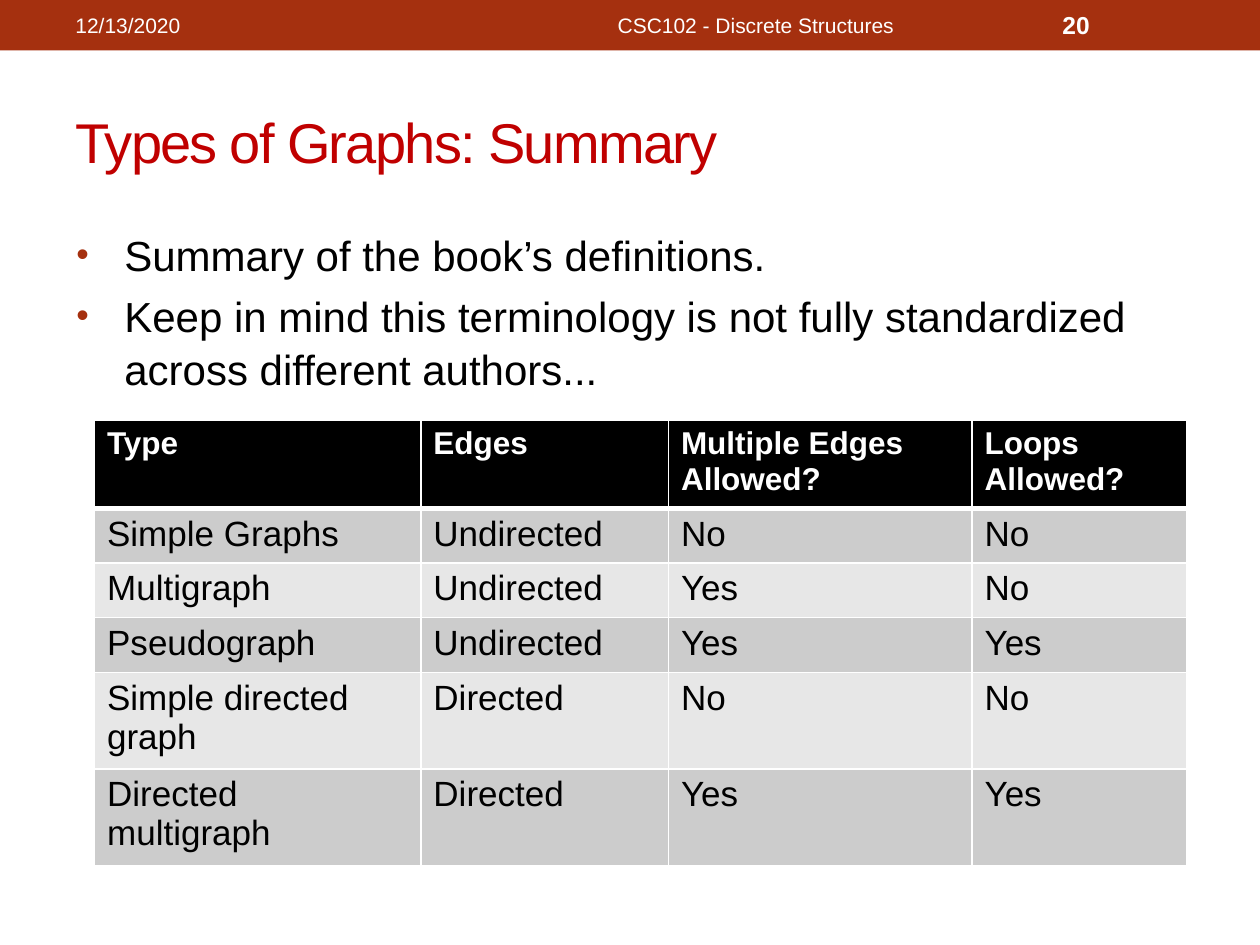
"""Build the slide summarising the types of graphs."""
import pptx
import pptx.dml.color
import pptx.enum.shapes
import pptx.enum.text
import pptx.oxml
import pptx.oxml.ns
import pptx.util

Pt = pptx.util.Pt
Align = pptx.enum.text.PP_ALIGN
Anchor = pptx.enum.text.MSO_ANCHOR

THEME = {
    "font": "Arial",
    "band": "A5300F", "title": "C00000", "text": "000000", "light": "FFFFFF",
    "header": "000000", "rows": ("CCCCCC", "E7E7E7"), "border": "FFFFFF",
    "title_size": 32, "body_size": 24, "footer_size": 12, "number_size": 14,
    "header_size": 18, "cell_size": 20,
}
SLIDE_SIZE = (720, 540)
BAND_HEIGHT = 28.8
TITLE = "Types of Graphs: Summary"
TITLE_BOX = (36, 41.76, 648, 77.76)
BULLETS = [
    "Summary of the book’s definitions.",
    "Keep in mind this terminology is not fully standardized across different authors...",
]
BULLETS_BOX = (36, 126, 648, 383.76)
BAND_TEXTS = [
    ("12/13/2020", 36, 228, Align.LEFT, "footer_size", False),
    ("CSC102 - Discrete Structures", 270, 324, Align.CENTER, "footer_size", False),
    ("20", 600, 84, Align.LEFT, "number_size", True),
]
GRAPH_TYPES = [
    ("Type", "Edges", "Multiple Edges Allowed?", "Loops Allowed?"),
    ("Simple Graphs", "Undirected", "No", "No"),
    ("Multigraph", "Undirected", "Yes", "No"),
    ("Pseudograph", "Undirected", "Yes", "Yes"),
    ("Simple directed graph", "Directed", "No", "No"),
    ("Directed multigraph", "Directed", "Yes", "Yes"),
]
TABLE_ORIGIN = (54, 240)
COLUMN_WIDTHS = (186.5, 141.5, 173.5, 122.5)
ROW_HEIGHT = 29.2


def rgb(value):
    return pptx.dml.color.RGBColor.from_string(value)


def paint(shape, color):
    shape.fill.solid()
    shape.fill.fore_color.rgb = rgb(color)


def style(paragraph, size, color, bold=False):
    for run in paragraph.runs:
        run.font.name = THEME["font"]
        run.font.size = Pt(THEME[size])
        run.font.bold = bold
        run.font.color.rgb = rgb(THEME[color])


def add_text(slide, box, text, anchor):
    frame = slide.shapes.add_textbox(*map(Pt, box)).text_frame
    frame.word_wrap = True
    frame.vertical_anchor = anchor
    frame.text = text
    return frame


def append_xml(parent, markup):
    namespace = pptx.oxml.ns.nsdecls("a")
    parent.append(pptx.oxml.parse_xml(markup.replace(">", f" {namespace}>", 1)))


def add_bullet(paragraph):
    properties = paragraph._p.get_or_add_pPr()
    properties.set("marL", str(Pt(28)))
    properties.set("indent", str(Pt(-27.4)))
    for markup in (
        f'<a:buClr><a:srgbClr val="{THEME["band"]}"/></a:buClr>',
        '<a:buSzPct val="85000"></a:buSzPct>',
        f'<a:buFont typeface="{THEME["font"]}"></a:buFont>',
        '<a:buChar char="•"></a:buChar>',
    ):
        append_xml(properties, markup)


def add_borders(cell, row):
    widths = {"L": 1, "R": 1, "T": 3 if row == 1 else 1, "B": 3 if row == 0 else 1}
    for side, width in widths.items():
        append_xml(
            cell._tc.get_or_add_tcPr(),
            f'<a:ln{side} w="{Pt(width)}"><a:solidFill>'
            f'<a:srgbClr val="{THEME["border"]}"/></a:solidFill></a:ln{side}>',
        )


def add_band(slide):
    band = slide.shapes.add_shape(
        pptx.enum.shapes.MSO_SHAPE.RECTANGLE, 0, 0, Pt(SLIDE_SIZE[0]), Pt(BAND_HEIGHT))
    band.shadow.inherit = False
    paint(band, THEME["band"])
    band.line.fill.background()
    for text, left, width, align, size, bold in BAND_TEXTS:
        frame = add_text(slide, (left, 1.44, width, 25.92), text, Anchor.MIDDLE)
        frame.paragraphs[0].alignment = align
        style(frame.paragraphs[0], size, "light", bold)


def add_title(slide):
    title = add_text(slide, TITLE_BOX, TITLE, Anchor.MIDDLE).paragraphs[0]
    style(title, "title_size", "title")
    title.runs[0]._r.get_or_add_rPr().set("spc", "-100")


def add_bullets(slide):
    frame = add_text(slide, BULLETS_BOX, "\n".join(BULLETS), Anchor.TOP)
    for index, paragraph in enumerate(frame.paragraphs):
        add_bullet(paragraph)
        paragraph.line_spacing = 1.05
        paragraph.space_before = Pt(0.2 * THEME["body_size"] if index else 0)
        style(paragraph, "body_size", "text")


def add_graph_table(slide):
    table = slide.shapes.add_table(
        len(GRAPH_TYPES), len(COLUMN_WIDTHS), *map(Pt, TABLE_ORIGIN),
        Pt(sum(COLUMN_WIDTHS)), Pt(ROW_HEIGHT * len(GRAPH_TYPES))).table
    for column, width in zip(table.columns, COLUMN_WIDTHS):
        column.width = Pt(width)
    for row, values in enumerate(GRAPH_TYPES):
        table.rows[row].height = Pt(ROW_HEIGHT)
        for column, value in enumerate(values):
            cell = table.cell(row, column)
            cell.text_frame.text = value
            add_borders(cell, row)
            paint(cell, THEME["rows"][(row - 1) % 2] if row else THEME["header"])
            size, color = ("cell_size", "text") if row else ("header_size", "light")
            style(cell.text_frame.paragraphs[0], size, color, row == 0)


def main():
    deck = pptx.Presentation()
    deck.slide_width, deck.slide_height = map(Pt, SLIDE_SIZE)
    slide = deck.slides.add_slide(deck.slide_layouts[6])
    add_band(slide)
    add_title(slide)
    add_bullets(slide)
    add_graph_table(slide)
    deck.save("out.pptx")


if __name__ == "__main__":
    main()
